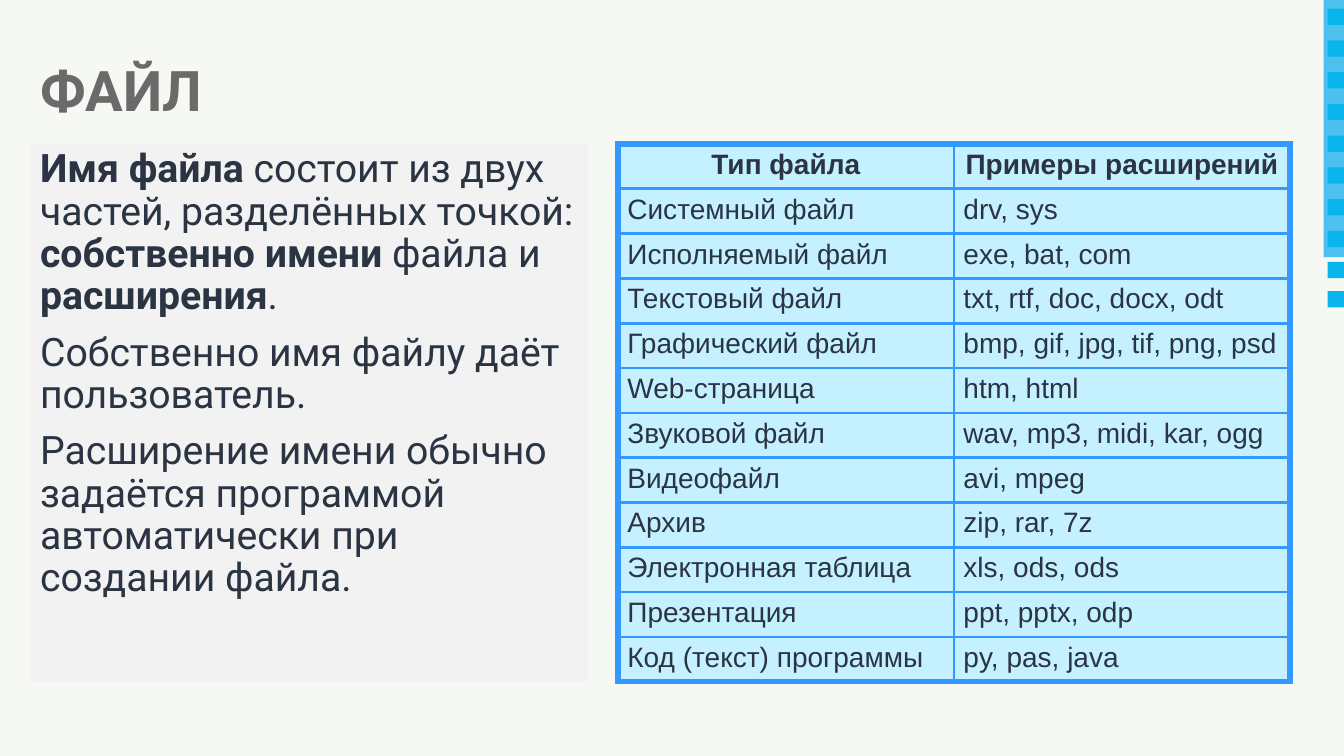
"""Slide about file names, with a table of file types and their extensions."""
from lxml.etree import SubElement
from pptx import Presentation
from pptx.dml.color import RGBColor
from pptx.enum.shapes import MSO_SHAPE
from pptx.enum.text import MSO_ANCHOR, PP_ALIGN
from pptx.oxml.ns import qn
from pptx.util import Cm, Pt

COLORS = {
    "background": "F6F8F3", "band": "4DC1ED", "square": "0AB5EC",
    "panel": "F2F2F2", "title": "6A6A6A", "text": "2A3442",
    "cell": "C5F0FF", "border": "3399FF",
}
FILE_TYPES = [
    ("Тип файла", "Примеры расширений"),
    ("Системный файл", "drv, sys"),
    ("Исполняемый файл", "exe, bat, com"),
    ("Текстовый файл", "txt, rtf, doc, docx, odt"),
    ("Графический файл", "bmp, gif, jpg, tif, png, psd"),
    ("Web-страница", "htm, html"),
    ("Звуковой файл", "wav, mp3, midi, kar, ogg"),
    ("Видеофайл", "avi, mpeg"),
    ("Архив", "zip, rar, 7z"),
    ("Электронная таблица", "xls, ods, ods"),
    ("Презентация", "ppt, pptx, odp"),
    ("Код (текст) программы", "py, pas, java"),
]
BODY = [
    [("Имя файла", True), (" состоит из двух частей, разделённых точкой: ", False),
     ("собственно имени", True), (" файла и ", False), ("расширения", True), (".", False)],
    [("Собственно имя файлу даёт пользователь.", False)],
    [("Расширение имени обычно задаётся программой автоматически при создании файла.", False)],
]

prs = Presentation()
prs.slide_width, prs.slide_height = Cm(33.87), Cm(19.05)
s = prs.slides.add_slide(prs.slide_layouts[6])
s.background.fill.solid()
s.background.fill.fore_color.rgb = RGBColor.from_string(COLORS["background"])


def add_rect(left, top, width, height, color):
    sp = s.shapes.add_shape(MSO_SHAPE.RECTANGLE, Cm(left), Cm(top), Cm(width), Cm(height))
    sp.shadow.inherit = False
    sp.fill.solid()
    sp.fill.fore_color.rgb = RGBColor.from_string(COLORS[color])
    sp.line.fill.background()
    return sp


def add_run(p, text, font, size, color, bold):
    r = p.add_run()
    r.text = text
    for name, value in {"name": font, "size": Pt(size), "bold": bold}.items():
        setattr(r.font, name, value)
    r.font.color.rgb = RGBColor.from_string(COLORS[color])


add_rect(33.36, 0, 0.51, 6.48, "band")
for top in [0.22 + 0.8 * i for i in range(8)] + [6.6, 7.34]:
    add_rect(33.46, top, 0.41, 0.41, "square")

n_rows = len(FILE_TYPES)
table = s.shapes.add_table(n_rows, 2, Cm(15.57), Cm(3.63), Cm(16.94), Cm(13.56)).table
table.first_row = table.horz_banding = False
for col in table.columns:
    col.width = Cm(8.47)
for i, texts in enumerate(FILE_TYPES):
    table.rows[i].height = Cm(1.13)
    for j, text in enumerate(texts):
        cell = table.cell(i, j)
        cell.margin_left = cell.margin_right = Cm(0.24)
        outer = {"lnL": j == 0, "lnR": j == 1, "lnT": i == 0, "lnB": i == n_rows - 1}
        for side, is_outer in outer.items():
            ln = SubElement(cell._tc.get_or_add_tcPr(), qn(f"a:{side}"),
                            w=str(Pt(4.5 if is_outer else 2.25)))
            SubElement(SubElement(ln, qn("a:solidFill")), qn("a:srgbClr"), val=COLORS["border"])
        cell.fill.solid()
        cell.fill.fore_color.rgb = RGBColor.from_string(COLORS["cell"])
        p = cell.text_frame.paragraphs[0]
        p.alignment = PP_ALIGN.CENTER if i == 0 else PP_ALIGN.LEFT
        add_run(p, text, "Arial", 20, "text", i == 0)

tf = add_rect(0.76, 3.63, 14.07, 13.54, "panel").text_frame
tf.word_wrap = True
tf.vertical_anchor = MSO_ANCHOR.TOP
for i, runs in enumerate(BODY):
    p = tf.add_paragraph() if i else tf.paragraphs[0]
    p.alignment = PP_ALIGN.LEFT
    p.line_spacing = 0.9
    p.space_before = Pt(10 if i else 0)
    for text, bold in runs:
        add_run(p, text, "Roboto", 28, "text", bold)

tf = s.shapes.add_textbox(Cm(0.76), Cm(0.51), Cm(18.06), Cm(3.68)).text_frame
tf.word_wrap = True
tf.vertical_anchor = MSO_ANCHOR.MIDDLE
p = tf.paragraphs[0]
p.alignment = PP_ALIGN.JUSTIFY
p.line_spacing = 0.9
add_run(p, "ФАЙЛ", "Roboto", 40, "title", True)

prs.save("out.pptx")
